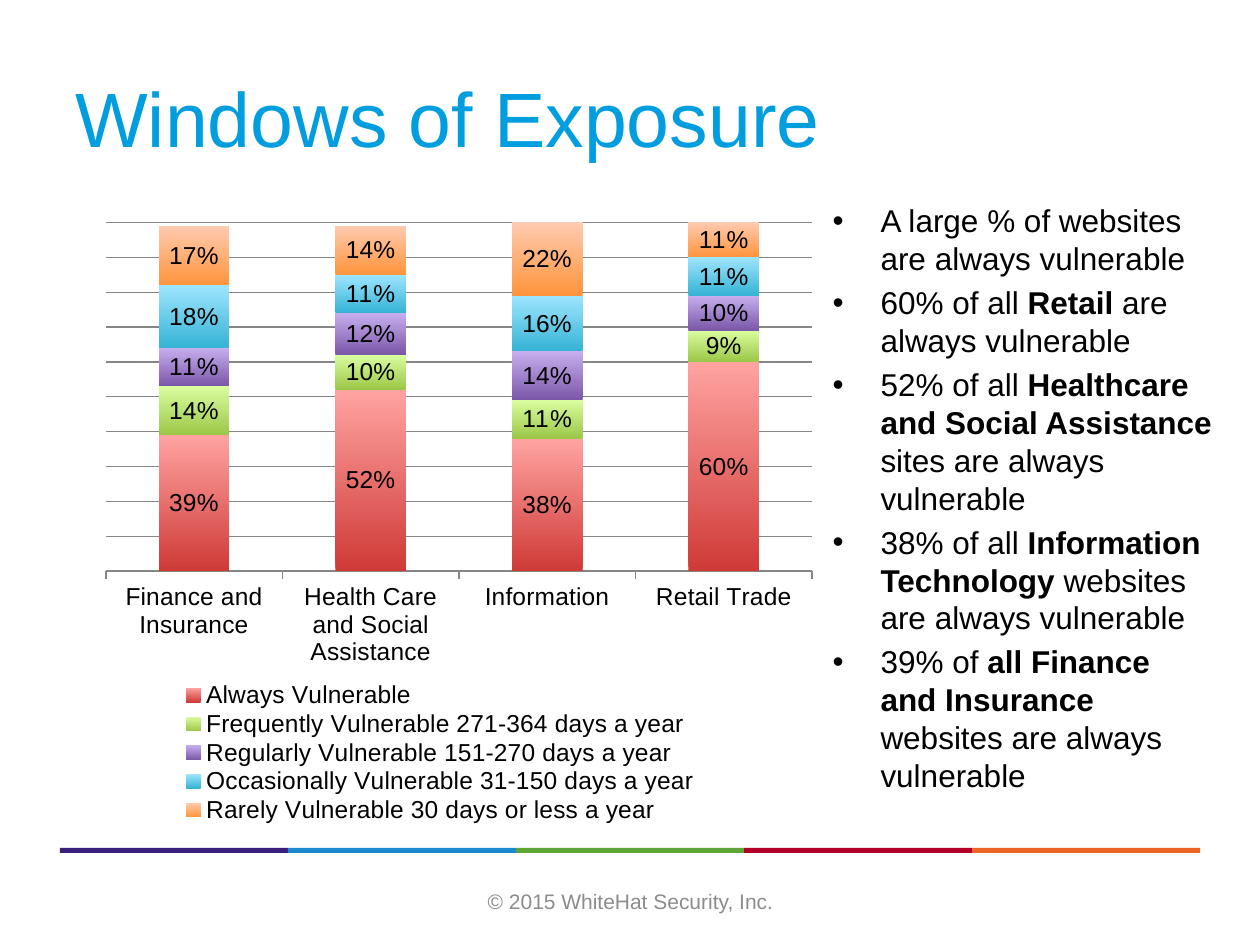
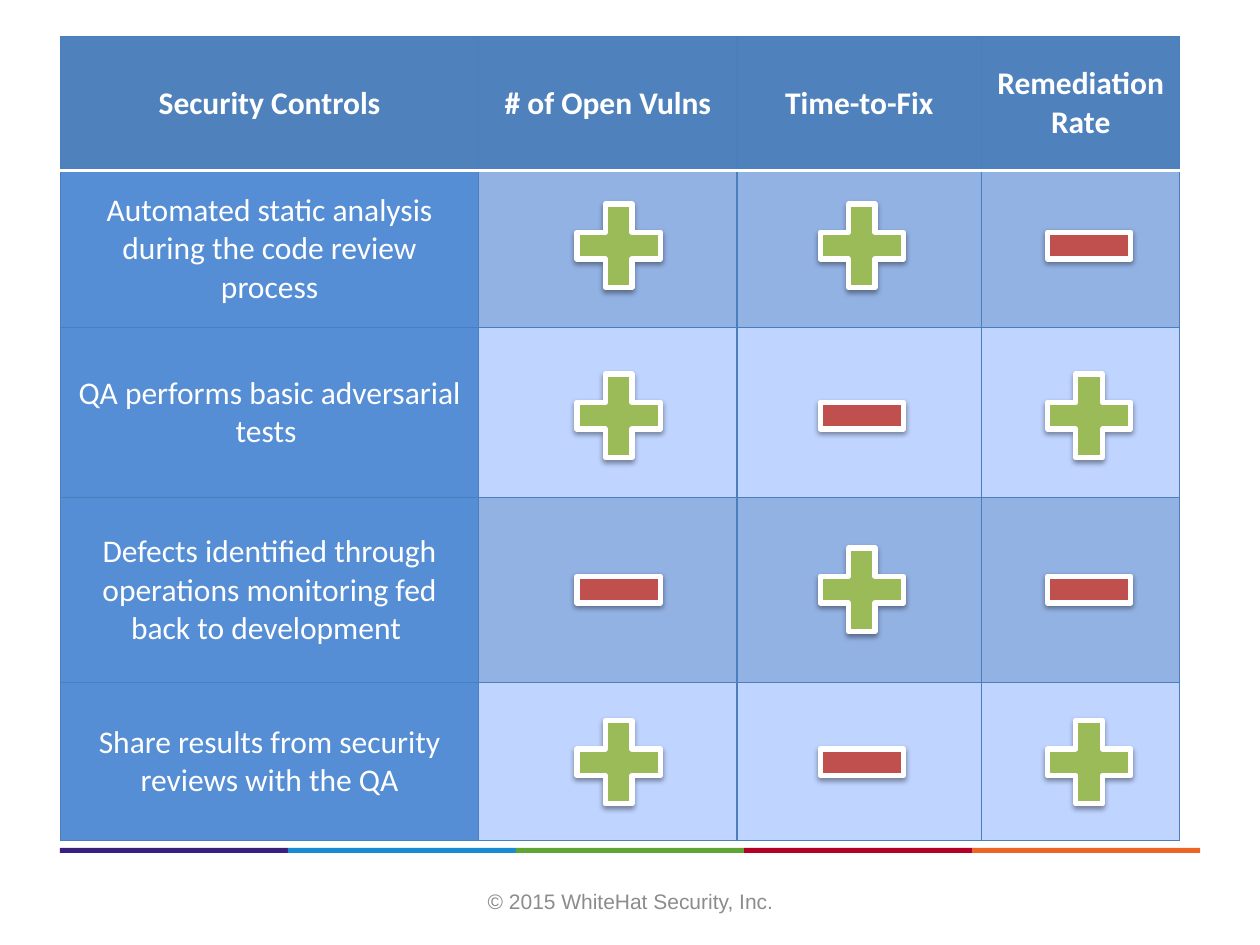
from lxml.etree import SubElement
from pptx import Presentation
from pptx.chart.data import CategoryChartData
from pptx.dml.color import RGBColor
from pptx.enum.chart import (XL_CHART_TYPE as Kind, XL_LABEL_POSITION as Spot,
                             XL_LEGEND_POSITION as Side, XL_TICK_MARK as Tick)
from pptx.enum.shapes import MSO_SHAPE as Shape
from pptx.enum.text import MSO_ANCHOR as Anchor, PP_ALIGN as Align
from pptx.oxml import parse_xml
from pptx.oxml.ns import nsdecls, qn
from pptx.util import Inches, Pt

# The slide is a grid of 100 columns by 75 rows of square units.
UNIT = Inches(0.1)
COLS, ROWS = 100, 75

TITLE_BOX = (5, 3, 90, 12.5)
CHART_BOX = (5, 15.5, 60.8, 52.8)
PLOT_BOX = (3.4, 2.16, 56.06, 27.67)  # within the chart
KEY_BOX = (8.03, 38.5, 43.8, 11.5)  # within the chart
BULLET_BOX = (65.1, 15.5, 32.1, 51.7)
TABLE_BOX = (4.8, 2.9, 88.85, 63.8)
BAND_BOX = (4.75, 67.3, 90.5, 0.4)
FOOT_BOX = (34.2, 69.5, 31.7, 4)

BLACK = RGBColor(0, 0, 0)
WHITE = RGBColor(0xFF, 0xFF, 0xFF)
SKY = RGBColor(0x01, 0x9E, 0xDF)
GRAY = RGBColor(0x8C, 0x8C, 0x8C)
RULE = RGBColor(0x86, 0x86, 0x86)
HEAD = RGBColor(0x4F, 0x81, 0xBD)
LEAD = RGBColor(0x55, 0x8E, 0xD5)
EDGE = RGBColor(0x4B, 0x7E, 0xBC)
STRIPES = RGBColor(0x93, 0xB2, 0xE4), RGBColor(0xBF, 0xD4, 0xFF)
GREEN = RGBColor(0x9B, 0xBB, 0x59)
RED = RGBColor(0xC0, 0x50, 0x4D)
BANDS = [RGBColor.from_string(c) for c in
         ("38207C", "1A8BD0", "5EA536", "B30027", "ED6525")]

SECTORS = ("Finance and Insurance", "Health Care and Social Assistance",
           "Information", "Retail Trade")
# name, values, bottom colour, top colour; the first level has no data
LEVELS = (
    ("slot_count", (), "4F81BD", "4F81BD"),
    ("Always Vulnerable", (0.39, 0.52, 0.38, 0.6), "CF3A37", "FFA3A1"),
    ("Frequently Vulnerable 271-364 days a year",
     (0.14, 0.1, 0.11, 0.09), "9BC747", "DAFD9F"),
    ("Regularly Vulnerable 151-270 days a year",
     (0.11, 0.12, 0.14, 0.1), "7B57A8", "C7AEEE"),
    ("Occasionally Vulnerable 31-150 days a year",
     (0.18, 0.11, 0.16, 0.11), "35B3D5", "9EE5FE"),
    ("Rarely Vulnerable 30 days or less a year",
     (0.17, 0.14, 0.22, 0.11), "FF943C", "FFCBB0"),
)
# Every second piece of a bullet is bold.
BULLETS = (
    ("A large % of websites are always vulnerable",),
    ("60% of all ", "Retail ", "are always vulnerable"),
    ("52% of all ", "Healthcare and Social Assistance ",
     "sites are always vulnerable"),
    ("38% of all ", "Information Technology",
     " websites are always vulnerable"),
    ("39% of ", "all Finance and Insurance ",
     "websites are always vulnerable"),
)
HEADS = ("Security Controls", "# of Open Vulns", "Time-to-Fix",
         "Remediation Rate")
CONTROLS = (
    ("Automated static analysis during the code review process", "++-"),
    ("QA performs basic adversarial tests ", "+-+"),
    ("Defects identified through operations monitoring fed back to "
     "development ", "-+-"),
    ("Share results from security reviews with the QA", "+-+"),
)
TABLE_COLS = (33.2, 20.5, 19.4, 15.75)
TABLE_ROWS = (10.6, 12.5, 13.5, 14.7, 12.5)
MARK_COLS = (39.8, 59.1, 77.15)
MARK_ROWS = (12.1, 25.6, 39.4, 53.1)
MARK = 9
MARKS = {"+": (Shape.MATH_PLUS, GREEN), "-": (Shape.MATH_MINUS, RED)}


def place(box):
    return [round(n * UNIT) for n in box]


def add_run(para, text, size, color, face="Arial", bold=False):
    run = para.add_run()
    run.text = text
    font = run.font
    font.size, font.name, font.bold = Pt(size), face, bold
    font.color.rgb = color


def add_frame(slide, box, anchor=Anchor.TOP):
    frame = slide.shapes.add_textbox(*place(box)).text_frame
    frame.word_wrap = True
    frame.vertical_anchor = anchor
    return frame


def add_base(deck):
    """Add a blank slide with the colour band and the footer."""
    slide = deck.slides.add_slide(deck.slide_layouts[6])
    left, top, width, high = BAND_BOX
    step = width / len(BANDS)
    for i, color in enumerate(BANDS):
        bar = slide.shapes.add_shape(
            Shape.RECTANGLE, *place((left + i * step, top, step, high)))
        bar.shadow.inherit = False
        bar.fill.solid()
        bar.fill.fore_color.rgb = color
        bar.line.fill.background()
    para = add_frame(slide, FOOT_BOX, Anchor.MIDDLE).paragraphs[0]
    para.alignment = Align.CENTER
    add_run(para, "© 2015 WhiteHat Security, Inc.", 12, GRAY)
    return slide


def add_title(slide, box, text):
    para = add_frame(slide, box, Anchor.MIDDLE).paragraphs[0]
    add_run(para, text, 44, SKY)


def add_bullets(slide, box):
    frame = add_frame(slide, box)
    for i, parts in enumerate(BULLETS):
        para = frame.add_paragraph() if i else frame.paragraphs[0]
        props = para._p.get_or_add_pPr()
        props.set("marL", str(Inches(0.38)))
        props.set("indent", str(-Inches(0.38)))
        SubElement(props, qn("a:buFont")).set("typeface", "Arial")
        SubElement(props, qn("a:buChar")).set("char", "•")
        para.space_before = Pt(3.6 if i else 0)
        for j, text in enumerate(parts):
            add_run(para, text, 18, BLACK, bold=j % 2 == 1)


def set_layout(node, index, part, box, inner=False):
    """Fix a chart part at its place within the chart's box."""
    for old in node.findall(qn("c:layout")):
        node.remove(old)
    layout = parse_xml(f"<c:layout {nsdecls('c')}><c:manualLayout/></c:layout>")
    width, high = box[2:]
    shares = [n / size for n, size in zip(part, (width, high) * 2)]
    pairs = [("layoutTarget", "inner")] if inner else []
    pairs += [("xMode", "edge"), ("yMode", "edge"), *zip("xywh", shares)]
    for tag, val in pairs:
        SubElement(layout[0], qn("c:" + tag)).set("val", str(val))
    node.insert(index, layout)


def add_levels(slide, box):
    """Add the stacked columns of exposure by sector."""
    data = CategoryChartData(number_format="0%")
    data.categories = SECTORS
    for name, vals, *_ in LEVELS:
        data.add_series(name, vals)
    chart = slide.shapes.add_chart(
        Kind.COLUMN_STACKED, *place(box), data).chart
    chart.has_title = False
    chart.font.size, chart.font.name = Pt(14), "Arial"
    chart.font.color.rgb = BLACK

    plot = chart.plots[0]
    plot.gap_width, plot.overlap = 150, 100
    plot.vary_by_categories = False
    plot.has_data_labels = True
    labels = plot.data_labels
    labels.show_value = True
    labels.number_format, labels.number_format_is_linked = "0%", False
    labels.position = Spot.CENTER
    for series, (_, _, low, high) in zip(plot.series, LEVELS):
        fill = series.format.fill
        fill.gradient()
        fill.gradient_angle = 90
        for stop, color in zip(fill.gradient_stops, (low, high)):
            stop.color.rgb = RGBColor.from_string(color)

    vals, cats = chart.value_axis, chart.category_axis
    vals.minimum_scale, vals.maximum_scale, vals.major_unit = 0, 1, 0.1
    vals.has_major_gridlines = True
    vals.visible = False
    cats.major_tick_mark = Tick.OUTSIDE
    for line in (vals.major_gridlines.format.line, cats.format.line):
        line.color.rgb = RULE
        line.width = Pt(0.75)

    chart.has_legend = True
    legend = chart.legend
    legend.position, legend.include_in_layout = Side.BOTTOM, False
    set_layout(legend._element, 1, KEY_BOX, box)
    legend._element.insert(1, parse_xml(
        f'<c:legendEntry {nsdecls("c")}><c:idx val="0"/>'
        '<c:delete val="1"/></c:legendEntry>'))
    area = chart._chartSpace.chart.plotArea
    set_layout(area, 0, PLOT_BOX, box, inner=True)


def set_edges(cell, **edges):
    """Draw cell borders, each given as a colour and a width."""
    props = cell._tc.get_or_add_tcPr()
    for i, side in enumerate("LRTB"):
        color, width = edges.get(side, (EDGE, 0.75))
        props.insert(i, parse_xml(
            f'<a:ln{side} {nsdecls("a")} w="{Pt(width)}"><a:solidFill>'
            f'<a:srgbClr val="{color}"/></a:solidFill></a:ln{side}>'))


def add_mark(slide, box, sign):
    kind, color = MARKS[sign]
    mark = slide.shapes.add_shape(kind, *place(box))
    mark.fill.solid()
    mark.fill.fore_color.rgb = color
    mark.line.color.rgb = WHITE
    mark.line.width = Pt(3)
    mark.shadow.inherit = False
    mark._element.spPr.find(qn("a:effectLst")).append(parse_xml(
        f'<a:outerShdw {nsdecls("a")} blurRad="{Pt(3.1)}" dist="{Pt(1.6)}" '
        'dir="5400000" rotWithShape="0"><a:srgbClr val="000000">'
        '<a:alpha val="38000"/></a:srgbClr></a:outerShdw>'))


def add_controls(slide, box):
    """Add the table of controls and the signs over its cells."""
    grid = slide.shapes.add_table(
        len(TABLE_ROWS), len(TABLE_COLS), *place(box)).table
    grid.horz_banding = False
    for col, width in zip(grid.columns, place(TABLE_COLS)):
        col.width = width
    for row, high in zip(grid.rows, place(TABLE_ROWS)):
        row.height = high
    texts = [HEADS] + [(name, "", "", "") for name, _ in CONTROLS]
    for i, row in enumerate(texts):
        for j, text in enumerate(row):
            cell = grid.cell(i, j)
            cell.vertical_anchor = Anchor.MIDDLE
            cell.fill.solid()
            cell.fill.fore_color.rgb = (
                HEAD if i == 0 else LEAD if j == 0 else STRIPES[(i - 1) % 2])
            rule = {0: "B", 1: "T"}.get(i)
            set_edges(cell, **({rule: (WHITE, 2)} if rule else {}))
            if text:
                para = cell.text_frame.paragraphs[0]
                para.alignment = Align.CENTER
                add_run(para, text, 18, WHITE, "Calibri", i == 0)
    left, top = box[:2]
    for y, (_, signs) in zip(MARK_ROWS, CONTROLS):
        for x, sign in zip(MARK_COLS, signs):
            add_mark(slide, (left + x, top + y, MARK, MARK), sign)


def main():
    deck = Presentation()
    deck.slide_width, deck.slide_height = COLS * UNIT, ROWS * UNIT
    slide = add_base(deck)
    add_bullets(slide, BULLET_BOX)
    add_title(slide, TITLE_BOX, "Windows of Exposure")
    add_levels(slide, CHART_BOX)
    add_controls(add_base(deck), TABLE_BOX)
    deck.save("out.pptx")


if __name__ == "__main__":
    main()
